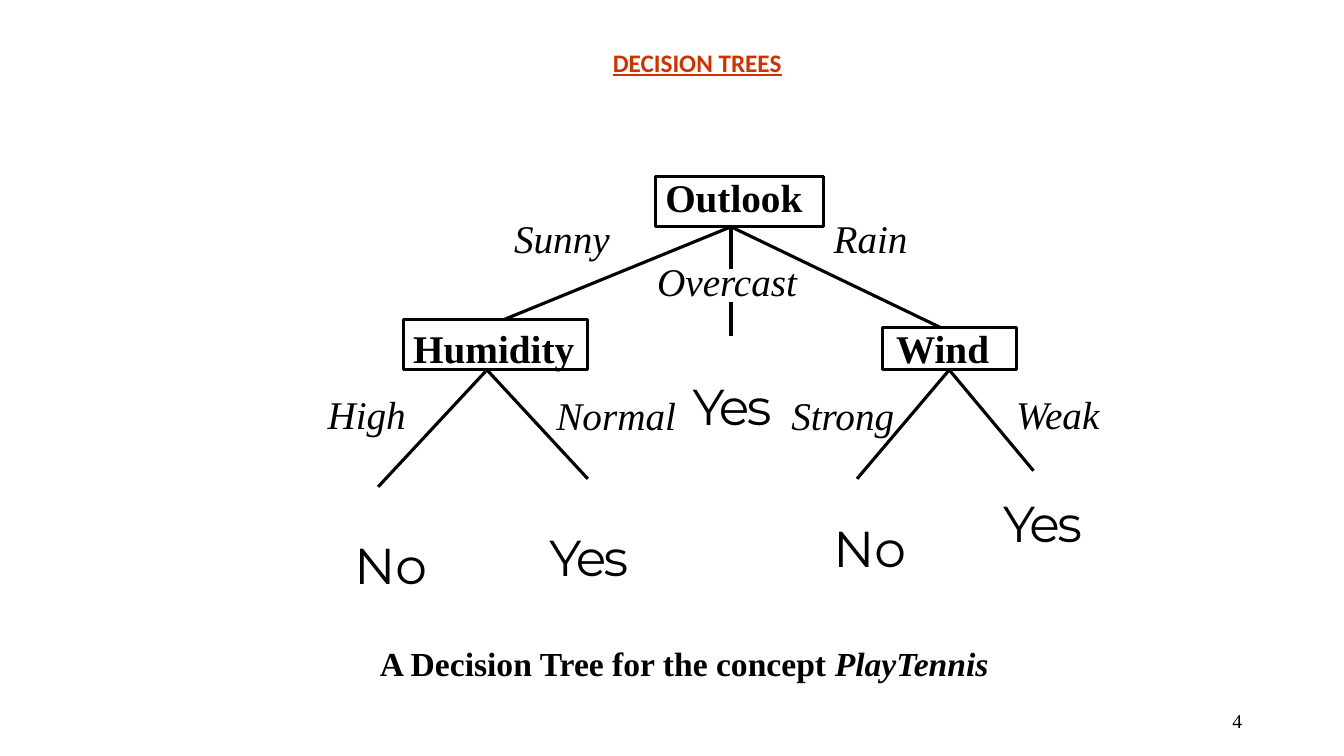
from lxml.etree import SubElement
from pptx import Presentation
from pptx.dml.color import RGBColor
from pptx.enum.shapes import MSO_CONNECTOR, MSO_SHAPE
from pptx.enum.text import MSO_ANCHOR, MSO_AUTO_SIZE, PP_ALIGN
from pptx.oxml import parse_xml
from pptx.oxml.ns import nsdecls, qn
from pptx.util import Inches, Pt

COLORS = {"ink": "000000", "title": "CC3300"}
SERIF = "Times New Roman"
LINE_WIDTH = Pt(2.25)


def rgb(name):
    return RGBColor.from_string(COLORS[name])


def style_run(r, size, font=SERIF, color="ink", bold=False, italic=False):
    r.font.size = Pt(size)
    r.font.name = font
    r.font.color.rgb = rgb(color)
    r.font.bold = bold
    r.font.italic = italic


def add_text(s, text, x, y, w, h, size, align=PP_ALIGN.LEFT, wrap=False,
             grow=True, **style):
    sp = s.shapes.add_textbox(Inches(x), Inches(y), Inches(w), Inches(h))
    tf = sp.text_frame
    tf.word_wrap = wrap
    tf.auto_size = MSO_AUTO_SIZE.SHAPE_TO_FIT_TEXT if grow else MSO_AUTO_SIZE.NONE
    p = tf.paragraphs[0]
    p.text = text
    p.alignment = align
    style_run(p.runs[0], size, **style)
    return sp


def add_node(s, x, y, w, h):
    sp = s.shapes.add_shape(MSO_SHAPE.RECTANGLE, Inches(x), Inches(y),
                            Inches(w), Inches(h))
    sp.shadow.inherit = False
    sp.fill.background()
    sp.line.color.rgb = rgb("ink")
    sp.line.width = LINE_WIDTH
    return sp


def add_branch(s, start, end, parent=None):
    sp = s.shapes.add_connector(MSO_CONNECTOR.STRAIGHT,
                                *(Inches(v) for v in start + end))
    if parent is not None:
        sp.begin_connect(parent, 2)
    sp.line.color.rgb = rgb("ink")
    sp.line.width = LINE_WIDTH
    SubElement(sp._element.spPr, qn("a:effectLst"))


def add_leaf(s, text, x, y):
    width = 1.02 if text == "Yes" else 0.75
    sp = add_text(s, text, x, y, width, 0.71, 36, PP_ALIGN.CENTER,
                  grow=False, font="Montserrat")
    rPr = sp.text_frame.paragraphs[0].runs[0].font._element
    if text == "Yes":
        rPr.set("spc", "-180")
    rPr.insert(0, parse_xml(
        f'<a:ln {nsdecls("a")} w="{Pt(0.75)}"><a:solidFill>'
        f'<a:srgbClr val="{COLORS["ink"]}"/></a:solidFill></a:ln>'))


def add_caption(s):
    sp = add_text(s, "A Decision Tree for the concept ", 3.67, 6.33, 6.33, 0.5,
                  24, bold=True)
    r = sp.text_frame.paragraphs[0].add_run()
    r.text = "PlayTennis"
    style_run(r, 24, bold=True, italic=True)


def add_page_number(s):
    sp = add_text(s, "4", 9.42, 6.95, 3, 0.4, 14, PP_ALIGN.RIGHT,
                  wrap=True, grow=False)
    sp.text_frame.vertical_anchor = MSO_ANCHOR.MIDDLE


def add_tree(s):
    add_node(s, 6.5, 1.75, 1.67, 0.5)
    add_node(s, 4, 3.17, 1.83, 0.5)
    wind = add_node(s, 8.75, 3.25, 1.33, 0.42)
    for text, x, y, w in [("Outlook", 6.5, 1.67, 1.56),
                          ("Humidity", 4, 3.17, 1.8),
                          ("Wind", 8.79, 3.17, 1.15)]:
        add_text(s, text, x, y, w, 0.57, 28, bold=True)

    outlook_foot, humidity_foot, wind_foot = (7.25, 2.25), (4.83, 3.67), (9.42, 3.67)
    for start, end, parent in [
        (outlook_foot, (5, 3.17), None),
        (outlook_foot, (9.33, 3.25), None),
        (outlook_foot, (7.25, 2.67), None),
        ((7.25, 3), (7.25, 3.33), None),
        (humidity_foot, (3.75, 4.83), None),
        (humidity_foot, (5.83, 4.75), None),
        (wind_foot, (8.5, 4.75), wind),
        (wind_foot, (10.25, 4.67), wind),
    ]:
        add_branch(s, start, end, parent)

    for text, x, y, w in [("Sunny", 5, 2.08, 1.15), ("Overcast", 6.42, 2.5, 1.6),
                          ("Rain", 8.17, 2.08, 0.94), ("High", 3.15, 3.82, 0.98),
                          ("Normal", 5.42, 3.83, 1.39),
                          ("Strong", 7.75, 3.83, 1.24),
                          ("Weak", 9.98, 3.82, 1.06)]:
        add_text(s, text, x, y, w, 0.57, 28, italic=True)

    for text, x, y in [("Yes", 6.75, 3.67), ("No", 3.5, 5.25), ("Yes", 5.33, 5.17),
                       ("No", 8.25, 5.08), ("Yes", 9.83, 4.83)]:
        add_leaf(s, text, x, y)


def main():
    prs = Presentation()
    prs.slide_width = Inches(13.33)
    prs.slide_height = Inches(7.5)
    s = prs.slides.add_slide(prs.slide_layouts[6])
    title = add_text(s, "DECISION TREES", 2.5, 0.42, 8.83, 0.4, 18,
                     PP_ALIGN.CENTER, wrap=True, font="Calibri", color="title",
                     bold=True)
    title.text_frame.paragraphs[0].runs[0].font.underline = True
    add_tree(s)
    add_caption(s)
    add_page_number(s)
    prs.save("out.pptx")


if __name__ == "__main__":
    main()
